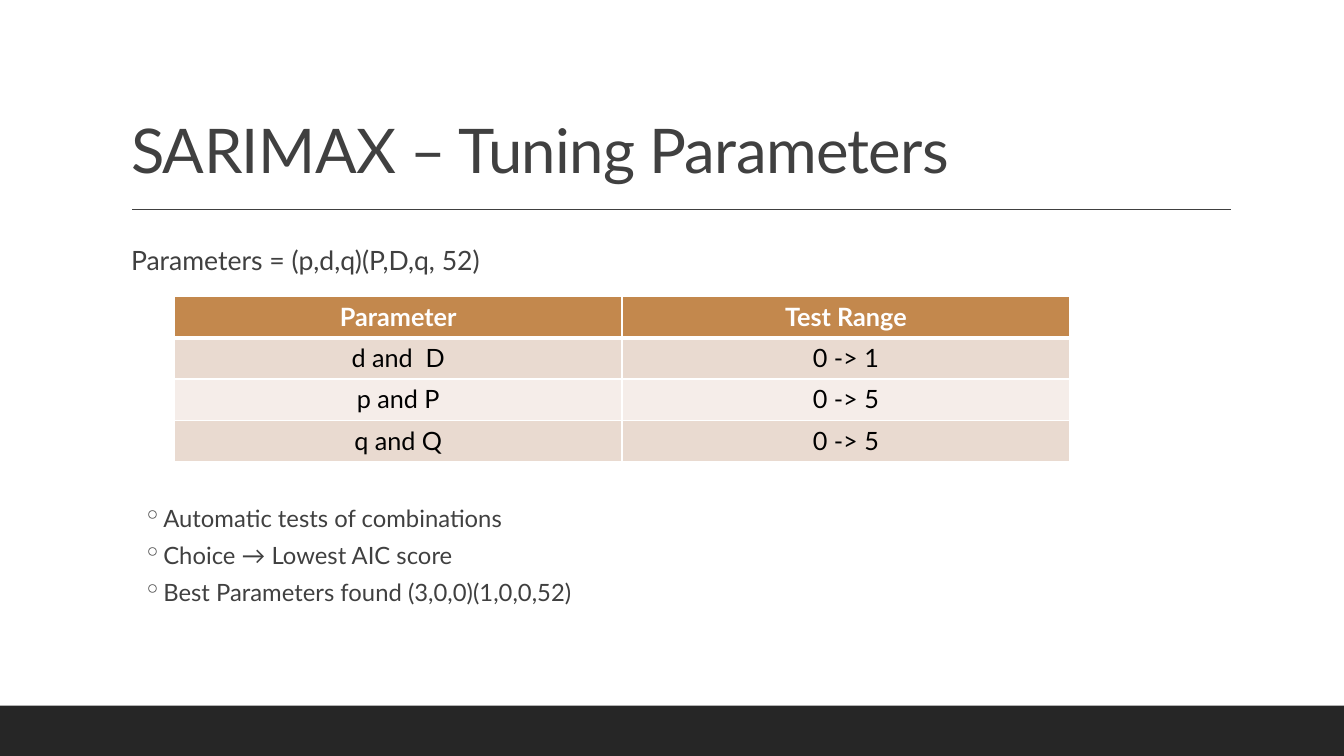
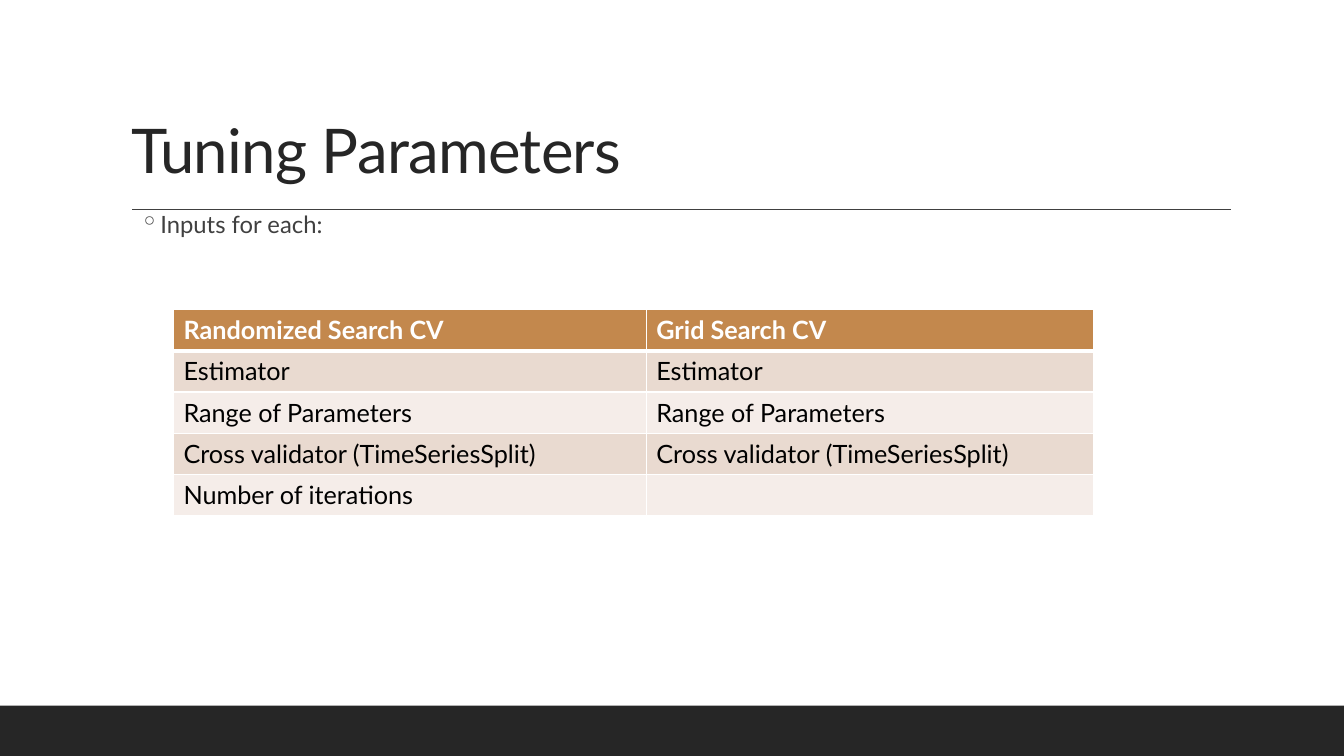
from dataclasses import dataclass
from lxml import etree
from pptx import Presentation
from pptx.dml.color import RGBColor as RGB
from pptx.enum.shapes import MSO_CONNECTOR as CONN, MSO_SHAPE as SHAPE
from pptx.enum.text import MSO_ANCHOR as ANCHOR, MSO_AUTO_SIZE as AUTO, PP_ALIGN as ALIGN
from pptx.oxml.ns import qn
from pptx.util import Inches, Pt


@dataclass(frozen=True)
class Theme:
    font: str = "Lato"
    dark: RGB = RGB(0x26, 0x26, 0x26)
    gray: RGB = RGB(0x40, 0x40, 0x40)
    white: RGB = RGB(0xFF, 0xFF, 0xFF)
    black: RGB = RGB(0, 0, 0)
    accent: RGB = RGB(0xC3, 0x88, 0x4D)
    bands: tuple = (RGB(0xE9, 0xDA, 0xD0), RGB(0xF5, 0xED, 0xE9))
    title: int = 44
    formula: int = 19
    bullet: int = 17
    cell: int = 18


T = Theme()
ROW_H = 0.41


def add_run(p, text, size, color, bold=False):
    r = p.add_run()
    r.text = text
    r.font.name, r.font.size, r.font.bold = T.font, Pt(size), bold
    r.font.color.rgb = color
    return r


def add_frame(s):
    band = s.shapes.add_shape(SHAPE.RECTANGLE, 0, Inches(7), Inches(13.33), Inches(0.5))
    band.shadow.inherit = False
    band.fill.solid()
    band.fill.fore_color.rgb = T.dark
    band.line.fill.background()
    rule = s.shapes.add_connector(CONN.STRAIGHT, Inches(1.31), Inches(2.08),
                                  Inches(12.21), Inches(2.08))
    rule.line.color.rgb = T.gray
    rule.line.width = Pt(1)
    etree.SubElement(rule._element.spPr, qn("a:effectLst"))
    tree = s.slide_layout.shapes._spTree
    for sp in (band, rule):
        tree.append(sp._element)


def add_title(s, text, color):
    sp = s.shapes.title
    sp.left, sp.top, sp.width, sp.height = map(Inches, (1.2, 0.31, 11, 1.59))
    tf = sp.text_frame
    tf.auto_size, tf.vertical_anchor = AUTO.NONE, ANCHOR.BOTTOM
    p = tf.paragraphs[0]
    p.alignment, p.line_spacing = ALIGN.LEFT, 0.9
    r = add_run(p, text, T.title, color)
    r.font._element.set("spc", "-50")


def add_text_box(s, x, y, w, h):
    tf = s.shapes.add_textbox(*map(Inches, (x, y, w, h))).text_frame
    tf.word_wrap = True
    tf.margin_left = tf.margin_right = 0
    return tf


def add_formula(s, x, y, w, h, text):
    p = add_text_box(s, x + 0.1, y, w - 0.1, h).paragraphs[0]
    p.line_spacing = 1.2
    add_run(p, text, T.formula, T.gray)


def add_bullets(s, x, y, w, h, items):
    tf = add_text_box(s, x, y, w, h)
    for i, text in enumerate(items):
        p = tf.add_paragraph() if i else tf.paragraphs[0]
        pPr = p._p.get_or_add_pPr()
        pPr.set("marL", str(Inches(0.42)))
        pPr.set("indent", str(Inches(-0.2)))
        etree.SubElement(pPr, qn("a:buChar")).set("char", "◦")
        p.space_before, p.space_after = Pt(2 if i else 0), Pt(4)
        add_run(p, text, T.bullet, T.gray)


def set_borders(cell, row):
    tcPr = cell._tc.get_or_add_tcPr()
    widths = {"L": 1, "R": 1, "T": 3 if row == 1 else 1, "B": 3 if row == 0 else 1}
    for side, width in widths.items():
        ln = etree.SubElement(tcPr, qn(f"a:ln{side}"))
        ln.set("w", str(Pt(width)))
        fill = etree.SubElement(ln, qn("a:solidFill"))
        etree.SubElement(fill, qn("a:srgbClr")).set("val", str(T.white))


def add_grid(s, x, y, col_widths, rows, align):
    box = map(Inches, (x, y, sum(col_widths), ROW_H * len(rows)))
    table = s.shapes.add_table(len(rows), len(col_widths), *box).table
    for col, width in zip(table.columns, col_widths):
        col.width = Inches(width)
    for i, texts in enumerate(rows):
        table.rows[i].height = Inches(ROW_H)
        header = i == 0
        for j, text in enumerate(texts):
            cell = table.cell(i, j)
            set_borders(cell, i)
            cell.fill.solid()
            cell.fill.fore_color.rgb = T.accent if header else T.bands[(i - 1) % 2]
            p = cell.text_frame.paragraphs[0]
            p.alignment = align
            if text:
                add_run(p, text, T.cell, T.white if header else T.black, header)


def sarimax_slide(s):
    add_title(s, "SARIMAX – Tuning Parameters", T.gray)
    add_formula(s, 1.2, 2.31, 11, 0.5, "Parameters = (p,d,q)(P,D,q, 52)")
    add_grid(s, 1.73, 2.94, (4.44, 4.44), [
        ("Parameter", "Test Range"),
        ("d and  D", "0 -> 1"),
        ("p and P", "0 -> 5"),
        ("q and Q", "0 -> 5"),
    ], ALIGN.CENTER)
    add_bullets(s, 1.2, 4.95, 11, 1.47, [
        "Automatic tests of combinations",
        "Choice → Lowest AIC score",
        "Best Parameters found (3,0,0)(1,0,0,52)",
    ])


def search_slide(s):
    add_title(s, "Tuning Parameters", T.dark)
    add_bullets(s, 1.17, 2.03, 11, 0.5, ["Inputs for each:"])
    add_grid(s, 1.72, 3.07, (4.69, 4.44), [
        ("Randomized Search CV", "Grid Search CV"),
        ("Estimator", "Estimator"),
        ("Range of Parameters", "Range of Parameters"),
        ("Cross validator (TimeSeriesSplit)", "Cross validator (TimeSeriesSplit)"),
        ("Number of iterations", ""),
    ], ALIGN.LEFT)


def main():
    prs = Presentation()
    prs.slide_width, prs.slide_height = Inches(13.33), Inches(7.5)
    layout = prs.slide_layouts.get_by_name("Title Only")
    first, second = (prs.slides.add_slide(layout) for _ in range(2))
    add_frame(first)
    sarimax_slide(first)
    search_slide(second)
    prs.save("out.pptx")


if __name__ == "__main__":
    main()
